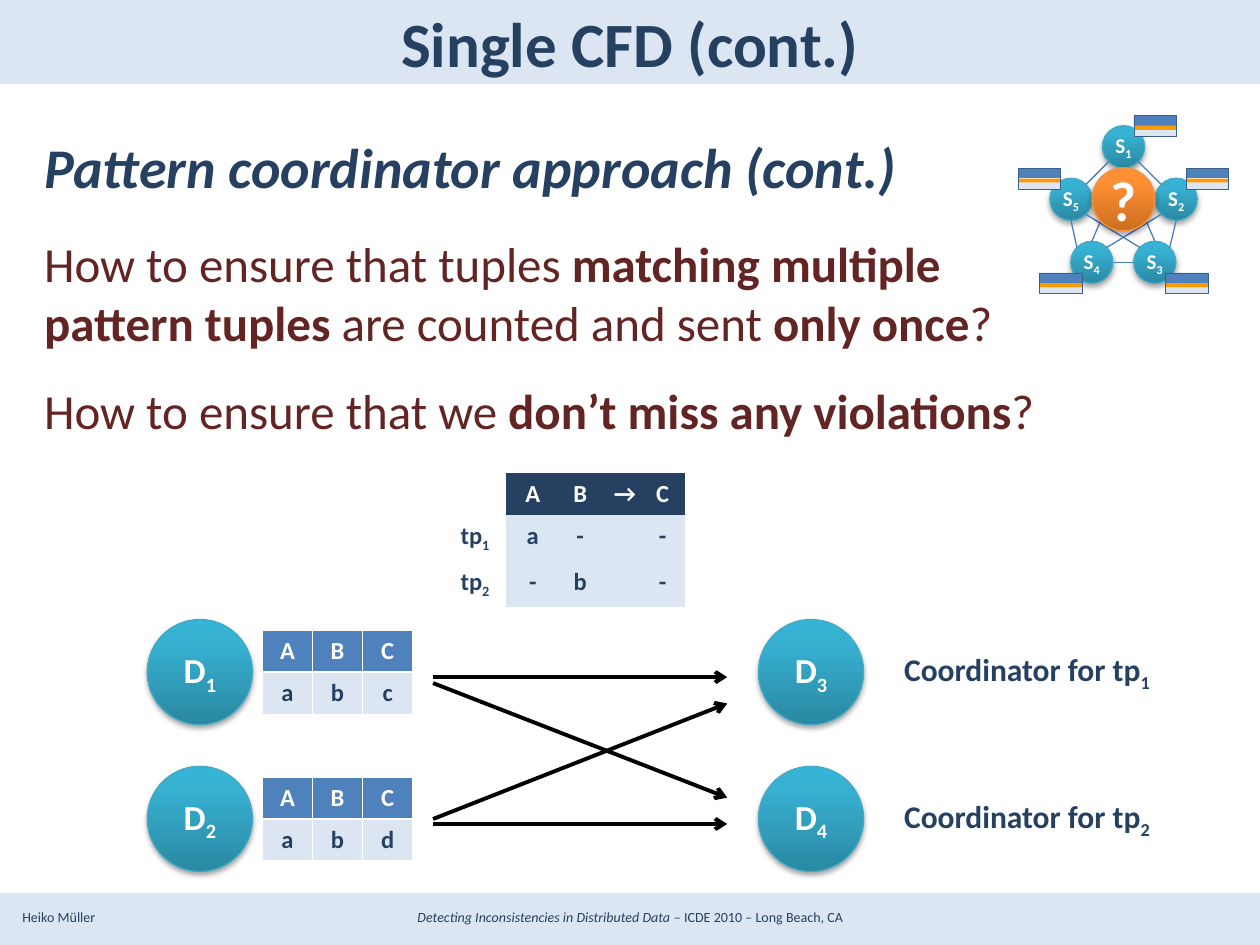
from copy import deepcopy
from dataclasses import dataclass
from math import cos, pi, sin

from lxml.etree import SubElement
from pptx import Presentation
from pptx.dml.color import RGBColor
from pptx.enum.shapes import MSO_CONNECTOR, MSO_SHAPE
from pptx.enum.text import MSO_ANCHOR, PP_ALIGN
from pptx.oxml.ns import qn
from pptx.util import Cm, Pt


@dataclass(frozen=True)
class Theme:
    font: str = "Calibri"
    navy: str = "254061"
    maroon: str = "632523"
    pale: str = "DCE6F2"
    white: str = "FFFFFF"
    black: str = "000000"
    blue: str = "4F81BD"
    frame: str = "3A5F8C"
    link: str = "4B7EBC"
    stripe: str = "FF9900"
    teal_edge: str = "46AAC5"
    teal: tuple = ((0, "2A88A2"), (0.8, "37B1D2"), (1, "34B4D6"))
    orange_edge: str = "F69240"
    orange: tuple = ((0, "CC6E20"), (0.8, "FF9034"), (1, "FF9136"))
    title: int = 36
    heading: int = 32
    body: int = 28
    site: int = 20
    label: int = 18
    cell: int = 14
    node: int = 12
    footer: int = 8


def rgb(color):
    return RGBColor.from_string(color)


def indexed(name, index):
    """Bold name followed by a bold subscript."""
    return [(name, "b"), (str(index), "bs")]


class SlideBuilder:
    def __init__(self, page, theme):
        self.page, self.theme = page, theme

    def add_spans(self, para, spans, size, color, align=PP_ALIGN.LEFT):
        """Add (text, flags) runs: b bold, i italic, s subscript; a newline breaks."""
        para.alignment = align
        for text, flags in spans:
            for number, part in enumerate(text.split("\n")):
                if number:
                    para.add_line_break()
                span = para.add_run()
                span.text = part
                font = span.font
                font.name, font.size = self.theme.font, Pt(size)
                font.bold, font.italic = "b" in flags, "i" in flags
                font.color.rgb = rgb(color)
                if "s" in flags:
                    span._r.get_or_add_rPr().set("baseline", "-25000")

    def text(self, x, y, width, height, paragraphs, align=PP_ALIGN.LEFT,
             anchor=MSO_ANCHOR.TOP):
        """Each paragraph is (spans, size, color, space before)."""
        frame = self.page.shapes.add_textbox(Cm(x), Cm(y), Cm(width), Cm(height)).text_frame
        frame.word_wrap, frame.vertical_anchor = True, anchor
        for number, (spans, size, color, before) in enumerate(paragraphs):
            para = frame.add_paragraph() if number else frame.paragraphs[0]
            para.space_before = Pt(before)
            self.add_spans(para, spans, size, color, align)

    def shape(self, kind, x, y, width, height, fill=None, line=None, weight=0.25):
        shape = self.page.shapes.add_shape(kind, Cm(x), Cm(y), Cm(width), Cm(height))
        shape.shadow.inherit = False
        if fill:
            shape.fill.solid()
            shape.fill.fore_color.rgb = rgb(fill)
        else:
            shape.fill.background()
        if line:
            shape.line.color.rgb = rgb(line)
            shape.line.width = Pt(weight)
        else:
            shape.line.fill.background()
        return shape

    def ball(self, center_x, center_y, diameter, spans, size, stops, edge):
        """Glossy circle with a soft shadow and a centred label."""
        shape = self.shape(MSO_SHAPE.OVAL, center_x - diameter / 2, center_y - diameter / 2,
                           diameter, diameter, line=edge, weight=0.75)
        shape.fill.gradient()
        shape.fill.gradient_angle = 90
        properties = shape._element.spPr
        stop_list = properties.find(".//" + qn("a:gsLst"))
        stop_list.append(deepcopy(stop_list[-1]))
        for stop, (position, color) in zip(shape.fill.gradient_stops, stops):
            stop.position, stop.color.rgb = position, rgb(color)
        shadow = SubElement(properties.find(qn("a:effectLst")), qn("a:outerShdw"),
                            blurRad="40000", dist="23000", dir="5400000", rotWithShape="0")
        tint = SubElement(shadow, qn("a:srgbClr"), val=self.theme.black)
        SubElement(tint, qn("a:alpha"), val="35000")
        frame = shape.text_frame
        frame.word_wrap, frame.vertical_anchor = False, MSO_ANCHOR.MIDDLE
        frame.margin_left = frame.margin_right = frame.margin_top = frame.margin_bottom = 0
        self.add_spans(frame.paragraphs[0], spans, size, self.theme.white, PP_ALIGN.CENTER)

    def line(self, start, end, color, weight, arrow=False):
        line = self.page.shapes.add_connector(
            MSO_CONNECTOR.STRAIGHT, *(Cm(value) for value in (*start, *end)))
        line.line.color.rgb, line.line.width = rgb(color), Pt(weight)
        if arrow:
            SubElement(line.line._get_or_add_ln(), qn("a:tailEnd"), type="arrow")
        SubElement(line._element.spPr, qn("a:effectLst"))

    def table(self, x, y, widths, rows, head_fill, labelled=False, bordered=False):
        """Header row plus body rows; a labelled table has a white first column."""
        theme, row_height = self.theme, 0.85
        table = self.page.shapes.add_table(
            len(rows), len(widths), Cm(x), Cm(y),
            Cm(sum(widths)), Cm(row_height * len(rows))).table
        table.first_row = table.horz_banding = False
        plain_style = "{2D5ABB26-0587-4C30-8999-92F81FD0307C}"
        table._tbl.tblPr.find(qn("a:tableStyleId")).text = plain_style
        for column, width in zip(table.columns, widths):
            column.width = Cm(width)
        for row, values in enumerate(rows):
            table.rows[row].height = Cm(row_height)
            for column, spans in enumerate(values):
                cell = table.cell(row, column)
                if bordered:
                    self.border(cell)
                cell.fill.solid()
                fill = theme.pale if row else head_fill
                cell.fill.fore_color.rgb = rgb(
                    theme.white if labelled and column == 0 else fill)
                para = cell.text_frame.paragraphs[0]
                if isinstance(spans, str):
                    spans = [(spans, "b")] if spans else []
                self.add_spans(para, spans, theme.cell,
                               theme.navy if row else theme.white, PP_ALIGN.CENTER)
                if not spans:
                    SubElement(para._p, qn("a:endParaRPr"), sz=str(theme.cell * 100))

    def border(self, cell):
        for side in ("lnL", "lnR", "lnT", "lnB"):
            edge = SubElement(cell._tc.get_or_add_tcPr(), qn(f"a:{side}"), w=str(Pt(1)))
            SubElement(SubElement(edge, qn("a:solidFill")), qn("a:srgbClr"),
                       val=self.theme.white)

    def fragment(self, x, y):
        """Small table icon with a highlighted row."""
        theme, width, half = self.theme, 0.85, 0.21
        self.shape(MSO_SHAPE.RECTANGLE, x, y, width, half, theme.blue, theme.white)
        self.shape(MSO_SHAPE.RECTANGLE, x, y + half, width, half, theme.pale, theme.white)
        self.shape(MSO_SHAPE.RECTANGLE, x, y + half, width, 0.08, theme.stripe)
        self.shape(MSO_SHAPE.RECTANGLE, x, y, width, 2 * half, line=theme.frame)

    def network(self):
        theme, diameter = self.theme, 0.85
        centers = {1: (22.65, 2.96), 5: (21.59, 4.02), 2: (23.71, 4.02),
                   4: (22.01, 5.29), 3: (23.28, 5.29)}
        for index, center in centers.items():
            self.ball(*center, diameter, indexed("S", index), theme.node,
                      theme.teal, theme.teal_edge)

        def rim(index, octant):
            """Point on a node's rim, in eighths of a turn clockwise from the right."""
            x, y = centers[index]
            angle = octant * pi / 4
            return x + diameter / 2 * cos(angle), y + diameter / 2 * sin(angle)

        links = [(1, 1, 2, 5), (2, 2, 3, 7), (4, 0, 3, 4), (4, 5, 5, 2), (5, 7, 1, 3),
                 (5, 0, 2, 4), (5, 1, 3, 5), (2, 3, 4, 7), (4, 6, 1, 2), (1, 2, 3, 6)]
        for start, start_octant, end, end_octant in links:
            self.line(rim(start, start_octant), rim(end, end_octant), theme.link, 0.75)
        self.ball(22.65, 4.02, 1.27, [("?", "b")], theme.heading,
                  theme.orange, theme.orange_edge)
        for corner in ((20.53, 3.39), (22.86, 2.33), (23.92, 3.39), (23.5, 5.5), (20.96, 5.5)):
            self.fragment(*corner)


def main():
    theme = Theme()
    deck = Presentation()
    deck.slide_width, deck.slide_height = Cm(25.4), Cm(19.05)
    page = deck.slides.add_slide(deck.slide_layouts[6])
    page.background.fill.solid()
    page.background.fill.fore_color.rgb = rgb(theme.pale)
    builder = SlideBuilder(page, theme)
    center, middle = PP_ALIGN.CENTER, MSO_ANCHOR.MIDDLE

    builder.text(0.2, 18.2, 2.54, 0.61, [([("Heiko Müller", "")], theme.footer, theme.navy, 0)])
    venue = [("Detecting Inconsistencies in Distributed Data ", "i"),
             ("– ICDE 2010 – Long Beach, CA", "")]
    builder.text(0.43, 18.2, 24.56, 0.61, [(venue, theme.footer, theme.navy, 0)], center)
    builder.shape(MSO_SHAPE.RECTANGLE, 0, 1.69, 25.4, 16.31, theme.white)
    builder.text(1.27, 0, 22.86, 1.69,
                 [([("Single CFD (cont.)", "b")], theme.title, theme.navy, 0)], center, middle)
    once = [("How to ensure that tuples", ""), (" matching multiple\npattern tuples ", "b"),
            ("are counted and sent ", ""), ("only once", "b"), ("?", "")]
    complete = [("How to ensure that we ", ""), ("don’t miss any violations", "b"), ("?", "")]
    builder.text(0.64, 2.54, 24.33, 9.96, [
        ([("Pattern coordinator approach (cont.)", "bi")], theme.heading, theme.navy, 0),
        (once, theme.body, theme.maroon, 19.5),
        (complete, theme.body, theme.maroon, 17)])

    builder.table(8.94, 9.53, [1.27, 1.06, 0.85, 0.79, 0.9],
                  [["", "A", "B", "→", "C"],
                   [indexed("tp", 1), "a", "-", "", "-"],
                   [indexed("tp", 2), "-", "b", "", "-"]], theme.navy, labelled=True)
    row_pitch = 2.96
    for row, last in enumerate("cd"):
        drop = row * row_pitch
        builder.table(5.29, 12.7 + drop, [1.01] * 3, [list("ABC"), ["a", "b", last]],
                      theme.blue, bordered=True)
        for x, index in ((4.03, row + 1), (16.35, row + 3)):
            builder.ball(x, 13.55 + drop, 2.12, indexed("D", index), theme.site,
                         theme.teal, theme.teal_edge)
        builder.text(17.63, 12.9 + drop, 6.15, 1.27,
                     [(indexed("Coordinator for tp", row + 1), theme.label, theme.navy, 0)],
                     center, middle)
    for start_y, end_y in ((13.65, 13.65), (16.61, 16.61), (13.77, 16.08), (16.51, 14.18)):
        builder.line((8.73, start_y), (14.66, end_y), theme.black, 2.25, arrow=True)
    builder.network()
    deck.save("out.pptx")


if __name__ == "__main__":
    main()
